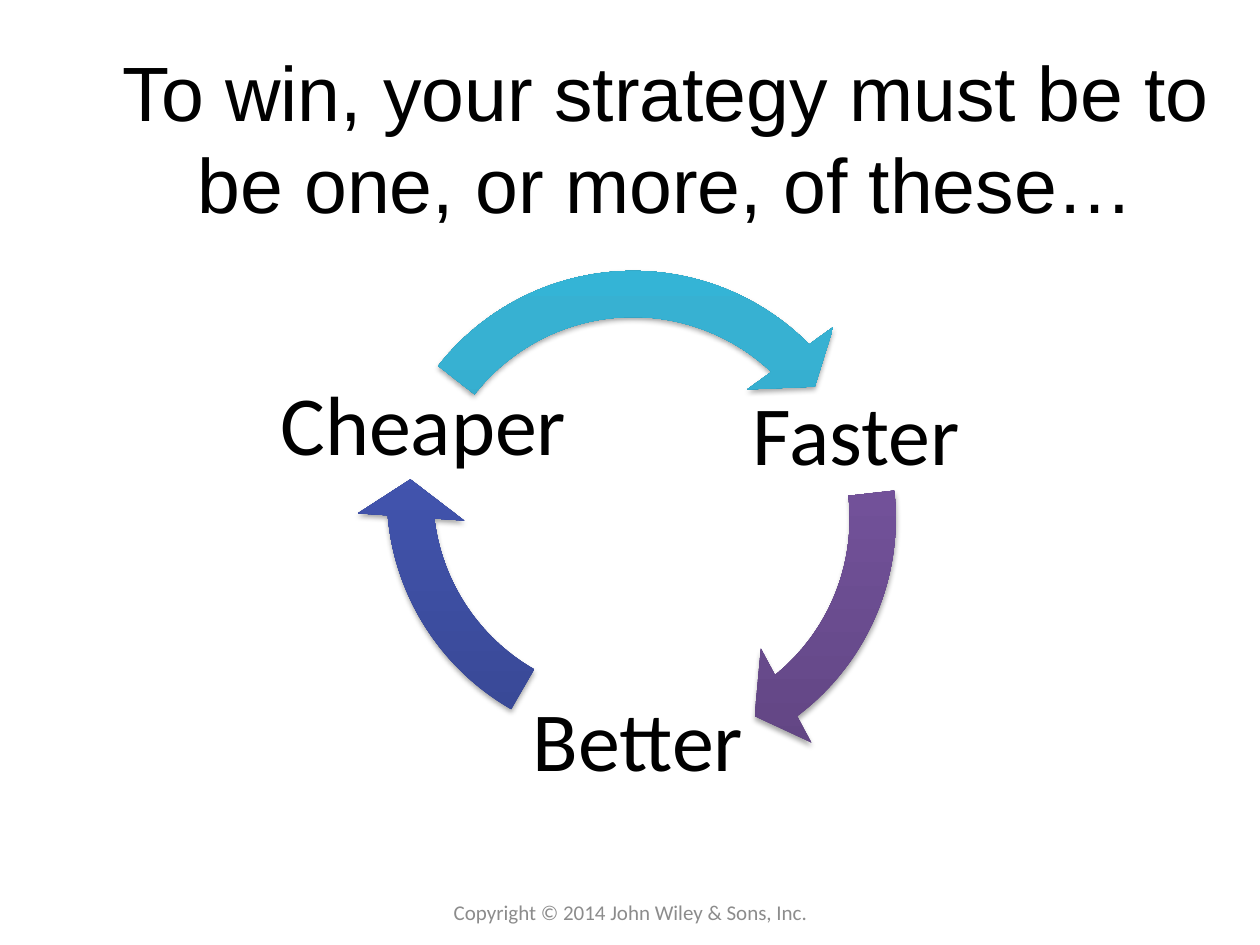
import copy

import pptx
import pptx.dml.color
import pptx.enum.shapes
import pptx.enum.text
import pptx.oxml.ns
import pptx.util
from lxml import etree
from pptx.util import Inches

TITLE = "To win, your strategy must be to be one, or more, of these…"
FOOTER = "Copyright © 2014 John Wiley & Sons, Inc."

# Label, label box (left, top, width, height)
LABELS = [
    ("Faster", (5.86, 3.05, 1.87, 0.86)),
    ("Better", (4.13, 4.97, 1.87, 1.87)),
    ("Cheaper", (1.97, 3, 2.78, 0.8)),
]
# Left, top, head angle and tail angle in degrees, gradient colours from the bottom up
ARROWS = [
    (2.94, 1.91, 52.11, 353.54, ("5F4480", "7B58A6", "7C57A8")),
    (2.83, 1.72, 174.27, 119.84, ("374691", "475BBC", "455ABF")),
    (2.82, 1.91, 314.43, 218.05, ("2A88A2", "37B1D2", "34B4D6")),
]
ARROW_SIZE = 4.41
ARROW_THICKNESS = 0.083
HEAD_SPREAD = 0.096
HEAD_ANGLE = 9.61
STOP_POSITIONS = (0, 0.8, 1)
ADJUSTMENT_PER_DEGREE = 0.6


def color(hex_code):
    return pptx.dml.color.RGBColor.from_string(hex_code)


def write(box, text, font, size, hex_code="000000"):
    frame = box.text_frame
    frame.word_wrap = True
    frame.vertical_anchor = pptx.enum.text.MSO_ANCHOR.MIDDLE
    frame.text = text
    para = frame.paragraphs[0]
    para.alignment = pptx.enum.text.PP_ALIGN.CENTER
    span = para.runs[0]
    span.font.name = font
    span.font.size = pptx.util.Pt(size)
    span.font.color.rgb = color(hex_code)
    return frame


def add_text(page, place, text, size, hex_code="000000"):
    box = page.shapes.add_textbox(*map(Inches, place))
    return write(box, text, "Calibri", size, hex_code)


def add_label(page, text, place):
    frame = add_text(page, place, text, 48)
    frame.margin_left = frame.margin_right = Inches(0.07)
    frame.margin_top = frame.margin_bottom = Inches(0.07)
    frame.paragraphs[0].line_spacing = 0.9


def add_shadow(shape):
    shape.shadow.inherit = False
    effects = shape._element.xpath("p:spPr/a:effectLst")[0]
    qn = pptx.oxml.ns.qn
    shadow = etree.SubElement(
        effects, qn("a:outerShdw"), blurRad=str(pptx.util.Pt(3.1)),
        dist=str(pptx.util.Pt(1.8)), dir="5400000", rotWithShape="0")
    tint = etree.SubElement(shadow, qn("a:srgbClr"), val="000000")
    etree.SubElement(tint, qn("a:alpha"), val="35000")


def add_arrow(page, left, top, head, tail, colors):
    arrow = page.shapes.add_shape(
        pptx.enum.shapes.MSO_SHAPE.CIRCULAR_ARROW,
        *map(Inches, (left, top, ARROW_SIZE, ARROW_SIZE)))
    angles = [angle * ADJUSTMENT_PER_DEGREE for angle in (HEAD_ANGLE, head, tail)]
    for index, value in enumerate((ARROW_THICKNESS, *angles, HEAD_SPREAD)):
        arrow.adjustments[index] = value
    arrow.line.fill.background()
    arrow.fill.gradient()
    arrow.fill.gradient_angle = 90
    stop_list = arrow._element.xpath("p:spPr/a:gradFill/a:gsLst")[0]
    stop_list.append(copy.deepcopy(stop_list[-1]))
    for stop, position, hex_code in zip(arrow.fill.gradient_stops, STOP_POSITIONS, colors):
        stop.position = position
        stop.color.rgb = color(hex_code)
    add_shadow(arrow)


def main():
    deck = pptx.Presentation()
    deck.slide_width, deck.slide_height = Inches(10), Inches(7.5)
    page = deck.slides.add_slide(deck.slide_layouts[5])
    title = page.shapes.title
    title.left, title.top, title.width, title.height = map(Inches, (0.75, 0.42, 9.08, 1.33))
    write(title, TITLE, "Arial", 44)
    for label, arrow in zip(LABELS, ARROWS):
        add_label(page, *label)
        add_arrow(page, *arrow)
    add_text(page, (3.42, 6.98, 3.17, 0.52), FOOTER, 12, "8C8C8C")
    deck.save("out.pptx")


if __name__ == "__main__":
    main()
